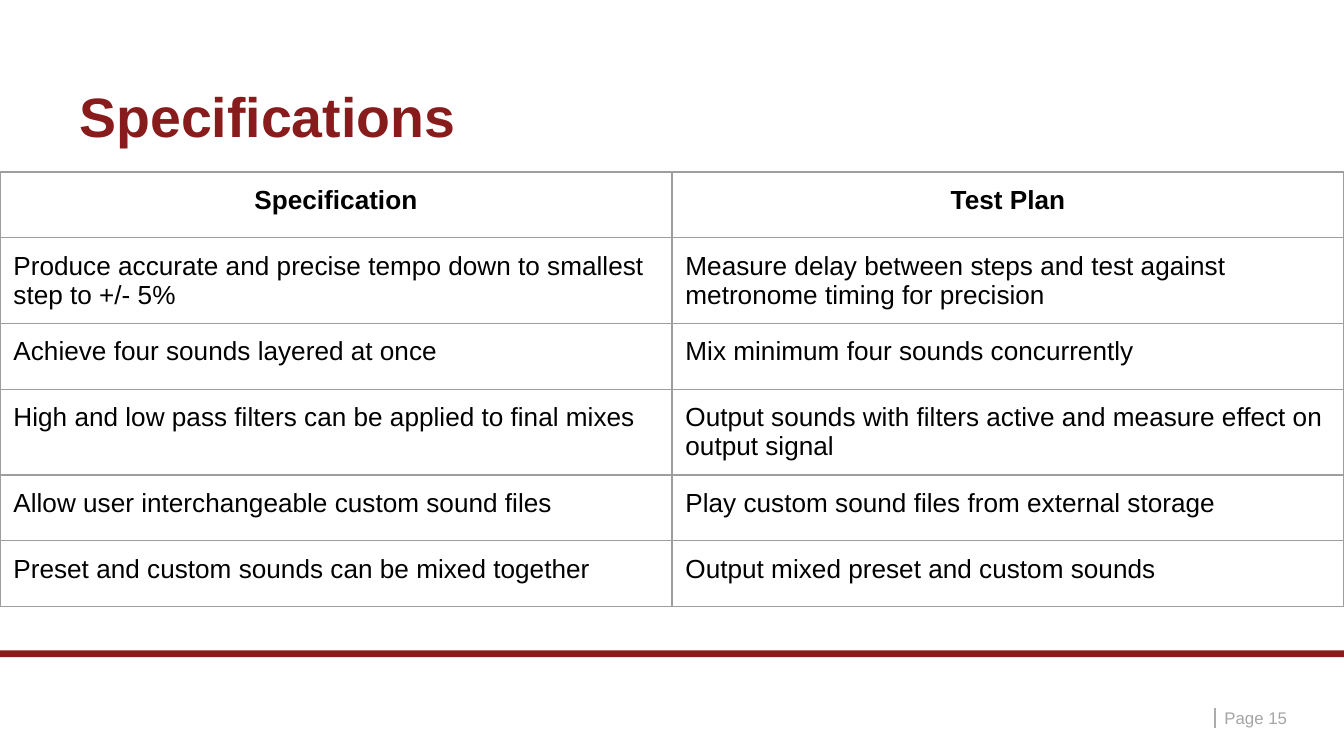
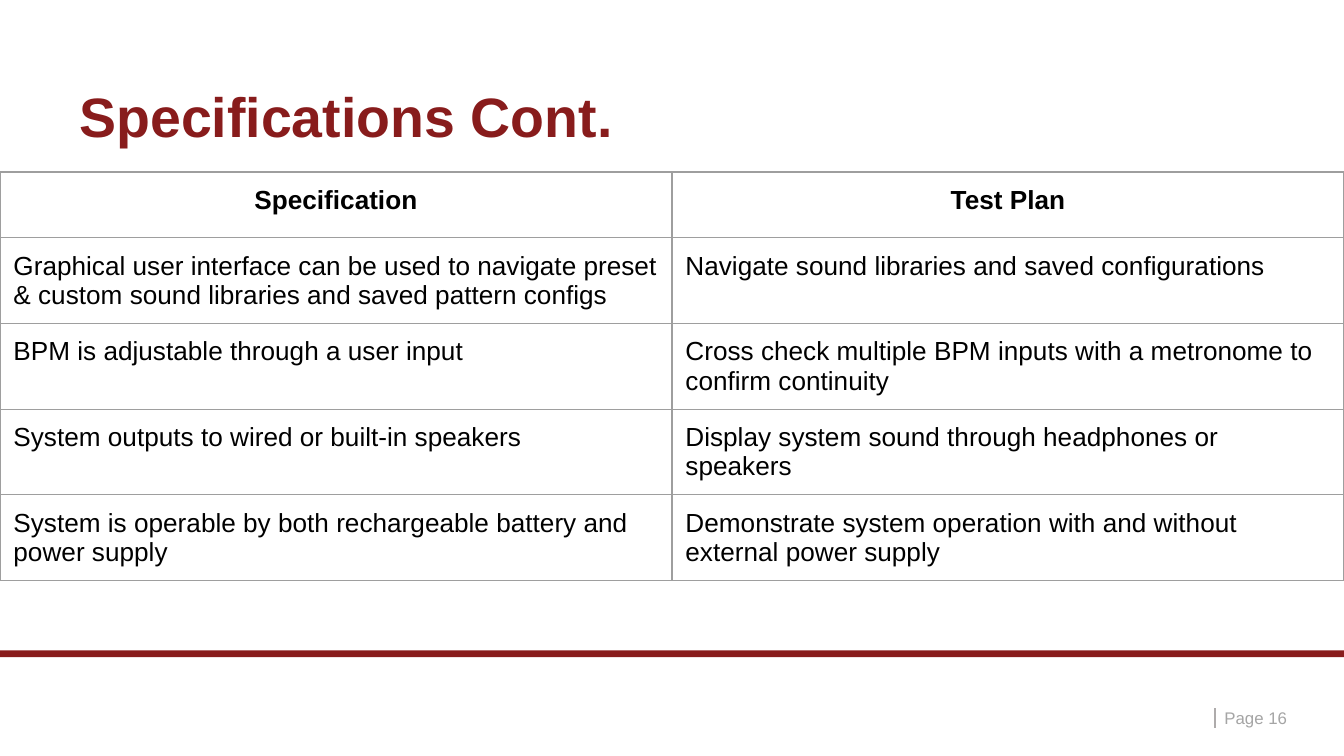
import dataclasses
import typing

import lxml.etree
import pptx
import pptx.dml.color
import pptx.enum.shapes
import pptx.enum.text
import pptx.oxml.ns
import pptx.presentation
import pptx.slide
import pptx.table
import pptx.text.text
import pptx.util

Inches = pptx.util.Inches
Pt = pptx.util.Pt
Align = pptx.enum.text.PP_ALIGN
Anchor = pptx.enum.text.MSO_ANCHOR
qn = pptx.oxml.ns.qn

MAROON = pptx.dml.color.RGBColor(0x88, 0x1C, 0x1C)
BLACK = pptx.dml.color.RGBColor(0x00, 0x00, 0x00)
PAGE_GRAY = pptx.dml.color.RGBColor(0xA5, 0xA5, 0xA5)
MARK_GRAY = pptx.dml.color.RGBColor(0xAE, 0xAB, 0xAB)
GRID_GRAY = pptx.dml.color.RGBColor(0x9E, 0x9E, 0x9E)

SLIDE_WIDTH = Inches(10)
SLIDE_HEIGHT = Inches(5.625)
ROW_HEIGHT = Inches(0.49)
GRID_WIDTH = Pt(0.75)
TITLE_ONLY = 5

FRAME_FORMAT = {
    "word_wrap": True,
    "auto_size": pptx.enum.text.MSO_AUTO_SIZE.NONE,
    "vertical_anchor": Anchor.MIDDLE,
    "margin_left": Inches(0.07),
    "margin_right": Inches(0.07),
    "margin_top": Inches(0.04),
    "margin_bottom": Inches(0.04),
}
CELL_FORMAT = {
    "margin_left": Inches(0.1),
    "margin_right": Inches(0.1),
    "margin_top": Inches(0.1),
    "margin_bottom": Inches(0.1),
    "vertical_anchor": Anchor.TOP,
}
TITLE_PLACE = {
    "left": Inches(0.52),
    "top": Inches(0.61),
    "width": Inches(8.98),
    "height": Inches(0.56),
}


@dataclasses.dataclass(frozen=True)
class TextStyle:
    size: float
    color: pptx.dml.color.RGBColor
    bold: bool = False
    alignment: Align = Align.LEFT
    line_spacing: float = 1.0


@dataclasses.dataclass(frozen=True)
class Requirement:
    specification: str
    test_plan: str


@dataclasses.dataclass(frozen=True)
class SpecPage:
    title: str
    number: int
    requirements: tuple[Requirement, ...]


TITLE_STYLE = TextStyle(29.7, MAROON, bold=True, line_spacing=0.9)
HEADING_STYLE = TextStyle(14, BLACK, bold=True, alignment=Align.CENTER)
BODY_STYLE = TextStyle(14, BLACK)
PAGE_STYLE = TextStyle(9, PAGE_GRAY)

HEADINGS = Requirement("Specification", "Test Plan")
PAGES = (
    SpecPage("Specifications", 15, (
        Requirement("Produce accurate and precise tempo down to smallest step to +/- 5%",
                    "Measure delay between steps and test against metronome timing for precision"),
        Requirement("Achieve four sounds layered at once",
                    "Mix minimum four sounds concurrently"),
        Requirement("High and low pass filters can be applied to final mixes",
                    "Output sounds with filters active and measure effect on output signal"),
        Requirement("Allow user interchangeable custom sound files",
                    "Play custom sound files from external storage"),
        Requirement("Preset and custom sounds can be mixed together",
                    "Output mixed preset and custom sounds"),
    )),
    SpecPage("Specifications Cont.", 16, (
        Requirement("Graphical user interface can be used to navigate preset "
                    "& custom sound libraries and saved pattern configs",
                    "Navigate sound libraries and saved configurations"),
        Requirement("BPM is adjustable through a user input",
                    "Cross check multiple BPM inputs with a metronome to confirm continuity"),
        Requirement("System outputs to wired or built-in speakers",
                    "Display system sound through headphones or speakers"),
        Requirement("System is operable by both rechargeable battery and power supply",
                    "Demonstrate system operation with and without external power supply"),
    )),
)


def apply_format(target: typing.Any, values: dict[str, typing.Any]) -> None:
    for name, value in values.items():
        setattr(target, name, value)


def write_text(frame: pptx.text.text.TextFrame, text: str, style: TextStyle) -> None:
    frame.text = text
    paragraph = frame.paragraphs[0]
    apply_format(paragraph, {"alignment": style.alignment, "line_spacing": style.line_spacing})
    font = paragraph.runs[0].font
    apply_format(font, {"name": "Arial", "size": Pt(style.size), "bold": style.bold})
    font.color.rgb = style.color


def add_title(slide: pptx.slide.Slide, text: str) -> None:
    title = slide.shapes.title
    apply_format(title, TITLE_PLACE)
    apply_format(title.text_frame, FRAME_FORMAT)
    write_text(title.text_frame, text, TITLE_STYLE)


def add_footer(slide: pptx.slide.Slide, number: int) -> None:
    left, top, bottom = Inches(9.04), Inches(5.27), Inches(5.42)
    page_mark = slide.shapes.add_connector(
        pptx.enum.shapes.MSO_CONNECTOR.STRAIGHT, left, top, left, bottom)
    page_mark.line.color.rgb = MARK_GRAY
    page_mark.line.width = Pt(1.25)
    lxml.etree.SubElement(page_mark._element.spPr, qn("a:effectLst"))

    band = slide.shapes.add_shape(
        pptx.enum.shapes.MSO_SHAPE.RECTANGLE, 0, Inches(4.84), SLIDE_WIDTH, Inches(0.05))
    band.shadow.inherit = False
    band.fill.solid()
    band.fill.fore_color.rgb = MAROON
    band.line.fill.background()

    page_label = slide.shapes.add_textbox(left, top, Inches(0.79), Inches(0.14))
    apply_format(page_label.text_frame, FRAME_FORMAT)
    write_text(page_label.text_frame, f"Page {number}", PAGE_STYLE)


def add_borders(cell: pptx.table._Cell) -> None:
    properties = cell._tc.get_or_add_tcPr()
    for side in ("a:lnL", "a:lnR", "a:lnT", "a:lnB"):
        border = lxml.etree.SubElement(properties, qn(side), w=str(GRID_WIDTH))
        fill = lxml.etree.SubElement(border, qn("a:solidFill"))
        lxml.etree.SubElement(fill, qn("a:srgbClr"), val=str(GRID_GRAY))


def add_requirements(slide: pptx.slide.Slide, requirements: tuple[Requirement, ...]) -> None:
    rows = (HEADINGS, *requirements)
    table = slide.shapes.add_table(
        len(rows), 2, 0, Inches(1.28), SLIDE_WIDTH, ROW_HEIGHT * len(rows)).table
    apply_format(table, {"first_row": False, "horz_banding": False})
    for row_index, requirement in enumerate(rows):
        style = BODY_STYLE if row_index else HEADING_STYLE
        for column, text in enumerate(dataclasses.astuple(requirement)):
            cell = table.cell(row_index, column)
            apply_format(cell, CELL_FORMAT)
            add_borders(cell)
            cell.fill.background()
            write_text(cell.text_frame, text, style)


def add_page(deck: pptx.presentation.Presentation, page: SpecPage) -> None:
    slide = deck.slides.add_slide(deck.slide_layouts[TITLE_ONLY])
    add_title(slide, page.title)
    add_requirements(slide, page.requirements)
    add_footer(slide, page.number)


def main() -> None:
    deck = pptx.Presentation()
    apply_format(deck, {"slide_width": SLIDE_WIDTH, "slide_height": SLIDE_HEIGHT})
    for page in PAGES:
        add_page(deck, page)
    deck.save("out.pptx")


if __name__ == "__main__":
    main()
